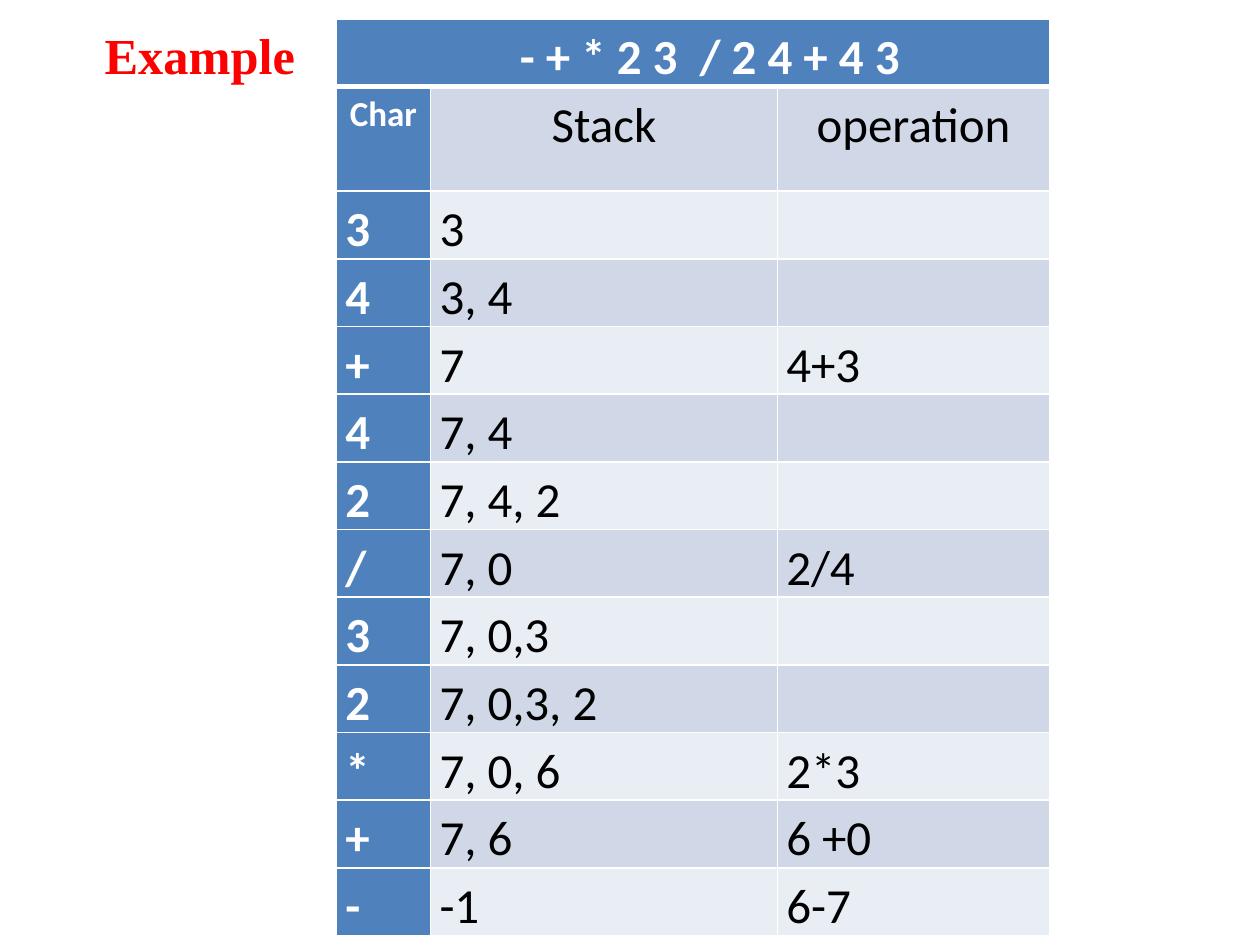
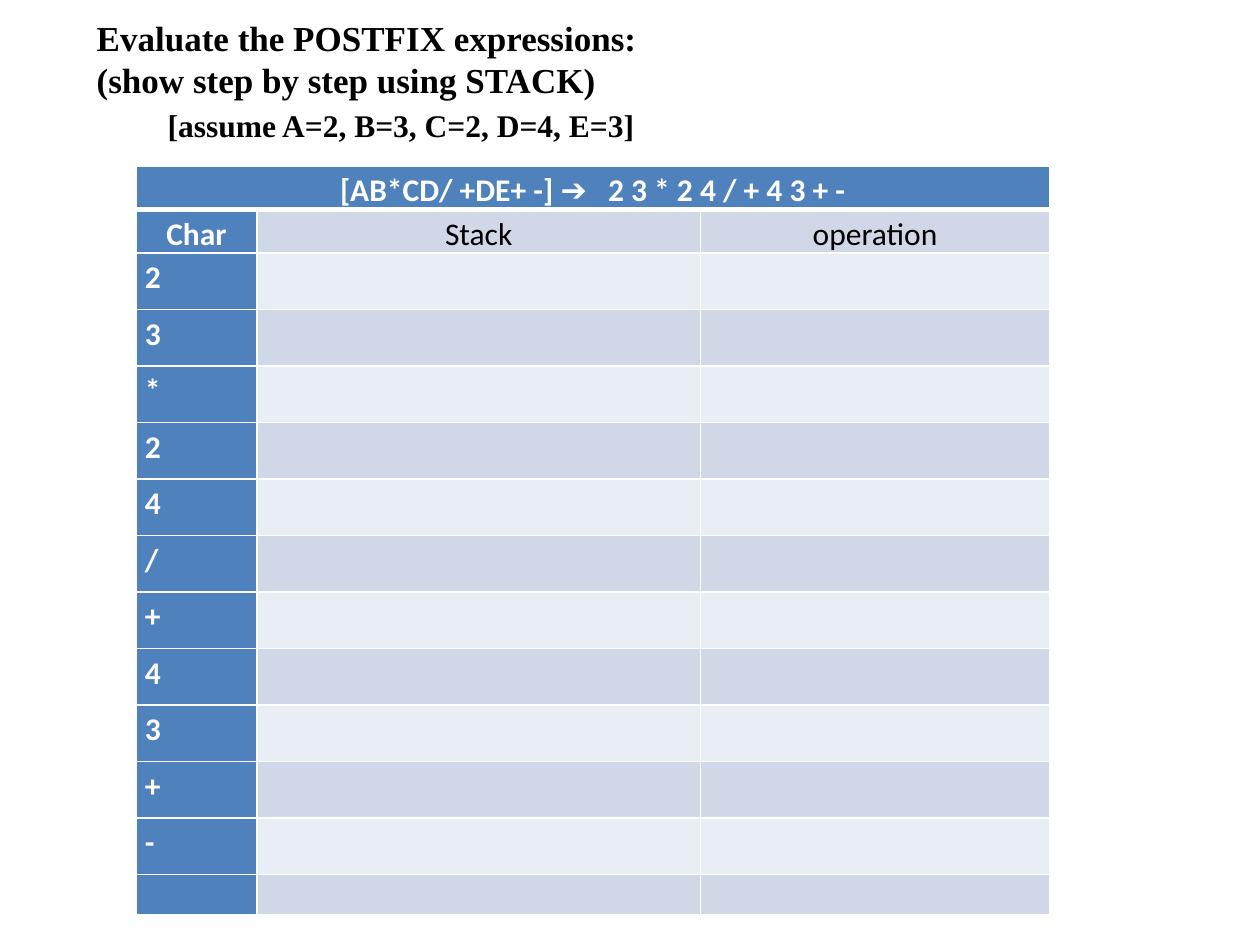
import pptx
import pptx.dml.color
import pptx.enum.text
import pptx.oxml
import pptx.oxml.ns
import pptx.util
from pptx.util import Cm

WHITE = pptx.dml.color.RGBColor(0xFF, 0xFF, 0xFF)
BLACK = pptx.dml.color.RGBColor(0x00, 0x00, 0x00)
RED = pptx.dml.color.RGBColor(0xFF, 0x00, 0x00)
HEADER_BLUE = pptx.dml.color.RGBColor(0x4F, 0x81, 0xBD)
BAND_DARK = pptx.dml.color.RGBColor(0xD0, 0xD8, 0xE8)
BAND_LIGHT = pptx.dml.color.RGBColor(0xE9, 0xED, 0xF4)

TABLE_FONT = "Calibri"
TITLE_FONT = "Times New Roman"
ALIGN = pptx.enum.text.PP_ALIGN
ANCHOR = pptx.enum.text.MSO_ANCHOR
CELL_MARGIN = Cm(0.18)
HEADINGS = ("Char", "Stack", "operation")

PREFIX_STEPS = [
    ("3", "3", ""),
    ("4", "3, 4", ""),
    ("+", "7", "4+3"),
    ("4", "7, 4", ""),
    ("2", "7, 4, 2", ""),
    ("/", "7, 0", "2/4"),
    ("3", "7, 0,3", ""),
    ("2", "7, 0,3, 2", ""),
    ("*", "7, 0, 6", "2*3"),
    ("+", "7, 6", "6 +0"),
    ("-", "-1", "6-7"),
]
POSTFIX_STEPS = [(symbol, "", "") for symbol in "23*24/+43+-"] + [("", "", "")]


def style_paragraph(paragraph, font_name, size, color, bold, alignment):
    paragraph.alignment = alignment
    font = paragraph.font
    font.name = font_name
    font.size = pptx.util.Pt(size)
    font.bold = bold
    font.color.rgb = color


def add_border(cell, side, width):
    properties = cell._tc.get_or_add_tcPr()
    properties.append(pptx.oxml.parse_xml(
        f'<a:ln{side} {pptx.oxml.ns.nsdecls("a")} w="{pptx.util.Pt(width)}">'
        f'<a:solidFill><a:srgbClr val="{WHITE}"/></a:solidFill></a:ln{side}>'))


def fill_cell(cell, row, column, text, size, space_after):
    is_header = row == 0 or column == 0
    for side in "LRTB":
        below_title = (row, side) in ((0, "B"), (1, "T"))
        add_border(cell, side, 3 if below_title else 1)
    cell.fill.solid()
    band = BAND_DARK if row % 2 else BAND_LIGHT
    cell.fill.fore_color.rgb = HEADER_BLUE if is_header else band
    cell.margin_left = cell.margin_right = CELL_MARGIN
    cell.margin_top = cell.margin_bottom = 0
    cell.text = text
    paragraph = cell.text_frame.paragraphs[0]
    paragraph.line_spacing = 1.15
    paragraph.space_after = pptx.util.Pt(space_after)
    style_paragraph(paragraph, TABLE_FONT, size, WHITE if is_header else BLACK,
                    is_header, ALIGN.CENTER if row < 2 else ALIGN.JUSTIFY)


def add_step_table(slide, left, top, widths, heights, expression, steps, size,
                   char_size, space_after=0):
    rows = [(expression, "", ""), HEADINGS, *steps]
    frame = slide.shapes.add_table(len(rows), len(widths), left, top,
                                   sum(widths), sum(heights))
    table = frame.table
    table.horz_banding = False
    for column, width in zip(table.columns, widths):
        column.width = width
    for row, height in zip(table.rows, heights):
        row.height = height
    for row, texts in enumerate(rows):
        for column, text in enumerate(texts):
            text_size = char_size if text == "Char" else size
            fill_cell(table.cell(row, column), row, column, text, text_size,
                      space_after)
    table.cell(0, 0).merge(table.cell(0, len(widths) - 1))
    return table


def add_title(slide, left, top, width, height, lines, color, alignment,
              anchor=ANCHOR.TOP):
    frame = slide.shapes.add_textbox(left, top, width, height).text_frame
    frame.word_wrap = True
    frame.vertical_anchor = anchor
    for index, (text, size) in enumerate(lines):
        paragraph = frame.add_paragraph() if index else frame.paragraphs[0]
        paragraph.text = text
        style_paragraph(paragraph, TITLE_FONT, size, color, True, alignment)
    return frame


def build_prefix_slide(slide):
    add_title(slide, Cm(0.64), Cm(0.43), Cm(6.78), Cm(1.35),
              [("Example", 28.8)], RED, ALIGN.CENTER, ANCHOR.MIDDLE)
    row_height = Cm(1.32)
    heights = [row_height, Cm(2.11)] + [row_height] * len(PREFIX_STEPS)
    table = add_step_table(slide, Cm(6.78), Cm(0.38),
                           [Cm(1.9), Cm(6.99), Cm(5.49)], heights,
                           "- + * 2 3  / 2 4 + 4 3", PREFIX_STEPS, 28, 20)
    table.cell(0, 0).margin_left = Cm(0.85)


def build_postfix_slide(slide):
    short = Cm(0.81)
    heights = [short] * 2 + [Cm(1.14)] * (len(POSTFIX_STEPS) - 1) + [short]
    add_step_table(slide, Cm(2.74), Cm(3.35),
                   [Cm(2.44), Cm(8.94), Cm(7.04)], heights,
                   "[AB*CD/ +DE+ -] ➔   2 3 * 2 4 / + 4 3 + -",
                   POSTFIX_STEPS, 18, 18, space_after=10)
    frame = add_title(slide, Cm(1.7), Cm(0.2), Cm(23.06), Cm(2.8),
                      [("Evaluate the POSTFIX expressions:", 20),
                       ("(show step by step using STACK)", 20),
                       ("[assume A=2, B=3, C=2, D=4, E=3]", 18)],
                      BLACK, ALIGN.JUSTIFY)
    assumption = frame.paragraphs[-1]
    assumption.line_spacing = 1.15
    assumption.space_after = pptx.util.Pt(10)
    assumption._p.get_or_add_pPr().set("indent", str(Cm(1.43)))


def main():
    presentation = pptx.Presentation()
    presentation.slide_width = Cm(25.4)
    presentation.slide_height = Cm(19.05)
    blank = presentation.slide_layouts[6]
    for build in (build_prefix_slide, build_postfix_slide):
        build(presentation.slides.add_slide(blank))
    presentation.save("out.pptx")


if __name__ == "__main__":
    main()
